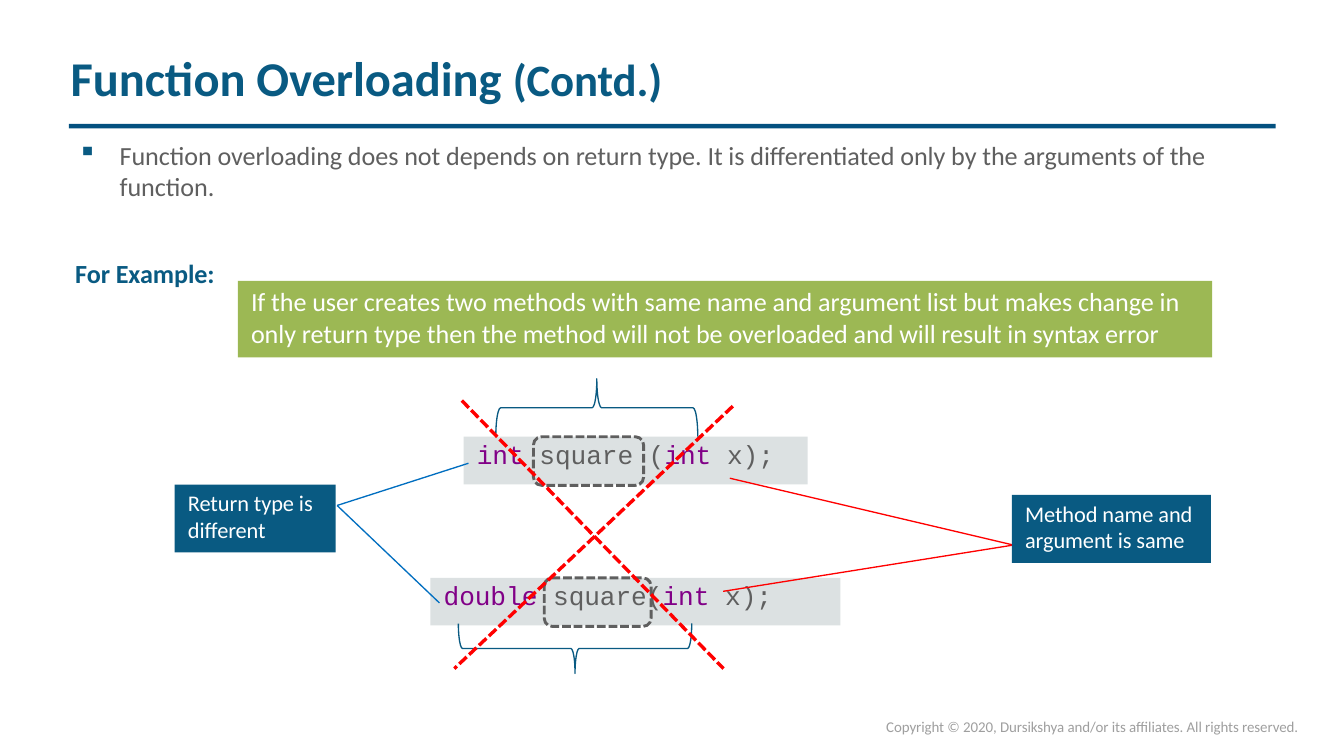
from dataclasses import dataclass

from lxml.etree import SubElement
from pptx import Presentation
from pptx.dml.color import RGBColor as Color
from pptx.enum.dml import MSO_LINE_DASH_STYLE as Dash
from pptx.enum.shapes import MSO_CONNECTOR as Connector, MSO_SHAPE as Shape
from pptx.oxml.ns import qn
from pptx.util import Pt


@dataclass(frozen=True)
class Theme:
    navy: Color = Color.from_string("095A82")
    rule: Color = Color.from_string("045180")
    gray: Color = Color.from_string("5F5F5F")
    pale: Color = Color.from_string("DCE1E2")
    green: Color = Color.from_string("9CB854")
    purple: Color = Color.from_string("810087")
    blue: Color = Color.from_string("006EC0")
    red: Color = Color.from_string("FF0000")
    footer: Color = Color.from_string("9F9F9F")
    white: Color = Color.from_string("FFFFFF")
    sans: str = "Calibri"
    mono: str = "Courier New"
    title: float = 26
    suffix: float = 24
    body: float = 14
    label: float = 12
    small: float = 8
    thin: float = 0.72


THEME = Theme()


def set_frame(shape, left=0, top=0, right=0):
    frame = shape.text_frame
    frame.word_wrap = True
    frame.margin_left, frame.margin_top = Pt(left), Pt(top)
    frame.margin_right, frame.margin_bottom = Pt(right), Pt(0)
    return frame


def add_text(page, box, top=0):
    return set_frame(page.shapes.add_textbox(*map(Pt, box)), 0.9, top)


def style(para, size, color=None, font=THEME.sans, bold=False):
    para.font.size = Pt(size)
    para.font.name = font
    para.font.bold = bold
    if color is not None:
        para.font.color.rgb = color


def add_span(para, text, color=None, size=None):
    span = para.add_run()
    span.text = text
    span.font._element.set("spc", "-5")
    if color is not None:
        span.font.color.rgb = color
    if size is not None:
        span.font.size = Pt(size)


def add_panel(page, box, fill):
    panel = page.shapes.add_shape(Shape.RECTANGLE, *map(Pt, box))
    panel.shadow.inherit = False
    panel.fill.solid()
    panel.fill.fore_color.rgb = fill
    panel.line.fill.background()
    return panel


def add_outline(page, kind, box, color, width, dash=None):
    outline = page.shapes.add_shape(kind, *map(Pt, box))
    outline.shadow.inherit = False
    outline.fill.background()
    outline.line.color.rgb = color
    outline.line.width = Pt(width)
    outline.line.dash_style = dash
    return outline


def add_line(page, start, end, color, width=THEME.thin, dash=None):
    line = page.shapes.add_connector(Connector.STRAIGHT, *map(Pt, start + end))
    line.line.color.rgb = color
    line.line.width = Pt(width)
    line.line.dash_style = dash
    SubElement(line._element.spPr, qn("a:effectLst"))


def add_title(page, box):
    left, top, width, height = box
    add_panel(page, (left, top + height, width, 2.4), THEME.rule)
    para = add_text(page, (left, top, width, 33), 1.8).paragraphs[0]
    style(para, THEME.title, THEME.navy, bold=True)
    add_span(para, "Function Overloading ")
    add_span(para, "(Contd.)", size=THEME.suffix)


def add_bullet(para, indent, hanging):
    properties = para._p.get_or_add_pPr()
    properties.set("marL", str(Pt(indent)))
    properties.set("indent", str(Pt(-hanging)))
    color = SubElement(properties, qn("a:buClr"))
    SubElement(color, qn("a:srgbClr")).set("val", str(THEME.navy))
    SubElement(properties, qn("a:buChar")).set("char", "▪")


def add_body(page, box):
    frame = add_text(page, box, 1.8)
    frame.margin_left = Pt(0)
    point = frame.paragraphs[0]
    add_bullet(point, 23.8, 22.3)
    style(point, THEME.body, THEME.gray)
    add_span(point, "Function overloading does not depends on return type. It is "
                    "differentiated only by the arguments of the function.")
    heading = frame.add_paragraph()
    heading.space_before = Pt(30)
    style(heading, THEME.body, THEME.navy, bold=True)
    add_span(heading, "For Example:")


def add_callout(page, box, text, fill, size):
    frame = set_frame(add_panel(page, box, fill), 7.2, 2.5, 7.2)
    frame.vertical_anchor = 1
    para = frame.paragraphs[0]
    para.alignment = 1
    style(para, size, THEME.white)
    add_span(para, text)


def add_code(page, box, spans):
    frame = set_frame(add_panel(page, box, THEME.pale), 7.2, 0.7)
    frame.vertical_anchor = 1
    para = frame.paragraphs[0]
    para.alignment = 1
    style(para, THEME.body, font=THEME.mono)
    for text, color in spans:
        add_span(para, text, color)


def add_brace(page, box, angle):
    left, top, width, height = box
    shift = (width - height) / 2
    turned = (left + shift, top - shift, height, width)
    brace = add_outline(page, Shape.LEFT_BRACE, turned, THEME.navy, THEME.thin)
    brace.rotation = angle


def add_fan(page, hub, ends, color):
    for end in ends:
        add_line(page, hub, end, color)


def add_cross(page, box):
    left, top, width, height = box
    right, bottom = left + width, top + height
    for start, end in [((left + 4, top), (right - 5, bottom)),
                       ((right, top + 3), (left, bottom))]:
        add_line(page, start, end, THEME.red, 1.8, Dash.SQUARE_DOT)


def add_diagram(page, box):
    left, top, width, height = box
    purple, gray = THEME.purple, THEME.gray
    argument = [("int ", purple), ("x);", gray)]
    add_code(page, (left + 154.8, top + 31, 184.3, 25.5),
             [("int ", purple), ("square (", gray)] + argument)
    add_code(page, (left + 137, top + 106.6, 219.6, 25.5),
             [("double ", purple), ("square(", gray)] + argument)
    for x, y, wide in [(192.2, 31, 59), (198, 106.6, 57.2)]:
        add_outline(page, Shape.ROUNDED_RECTANGLE, (left + x, top + y, wide, 26),
                    gray, 1.56, Dash.SQUARE_DOT)
    add_brace(page, (left + 172, top, 108.2, 31), 90)
    add_brace(page, (left + 152, top + 131, 125, 26.8), 270)
    add_fan(page, (left + 87, top + 67.8),
            [(left + 157.4, top + 45.2), (left + 141.8, top + 120)], THEME.blue)
    add_fan(page, (left + width - 105.8, top + 89),
            [(left + 297.4, top + 53.2), (left + 293.8, top + 113.8)], THEME.red)
    add_callout(page, (left, top + 56.6, 86.2, 36.4),
                "Return type is different", THEME.navy, THEME.label)
    add_callout(page, (left + width - 106.6, top + 62.2, 106.6, 36.4),
                "Method name and argument is same", THEME.navy, THEME.label)
    add_cross(page, (left + 149.8, top + 11.6, 149.2, height - 14.2))


def add_footer(page, box):
    para = add_text(page, box).paragraphs[0]
    para.line_spacing = Pt(8.7)
    style(para, THEME.small, THEME.footer)
    add_span(para, "Copyright © 2020, Dursikshya and/or its affiliates. "
                   "All rights reserved.")


def main():
    deck = Presentation()
    deck.slide_width, deck.slide_height = Pt(720), Pt(405)
    page = deck.slides.add_slide(deck.slide_layouts[6])
    add_title(page, (37, 23.8, 646.4, 42.6))
    add_body(page, (40.3, 72.7, 607.7, 83.5))
    add_diagram(page, (93.6, 203, 555.1, 157.8))
    add_callout(page, (127.4, 150.5, 522, 41),
                "If the user creates two methods with same name and argument list "
                "but makes change in only return type then the method will not be "
                "overloaded and will result in syntax error",
                THEME.green, THEME.body)
    add_footer(page, (473.8, 385.2, 231.1, 10))
    deck.save("out.pptx")


if __name__ == "__main__":
    main()
